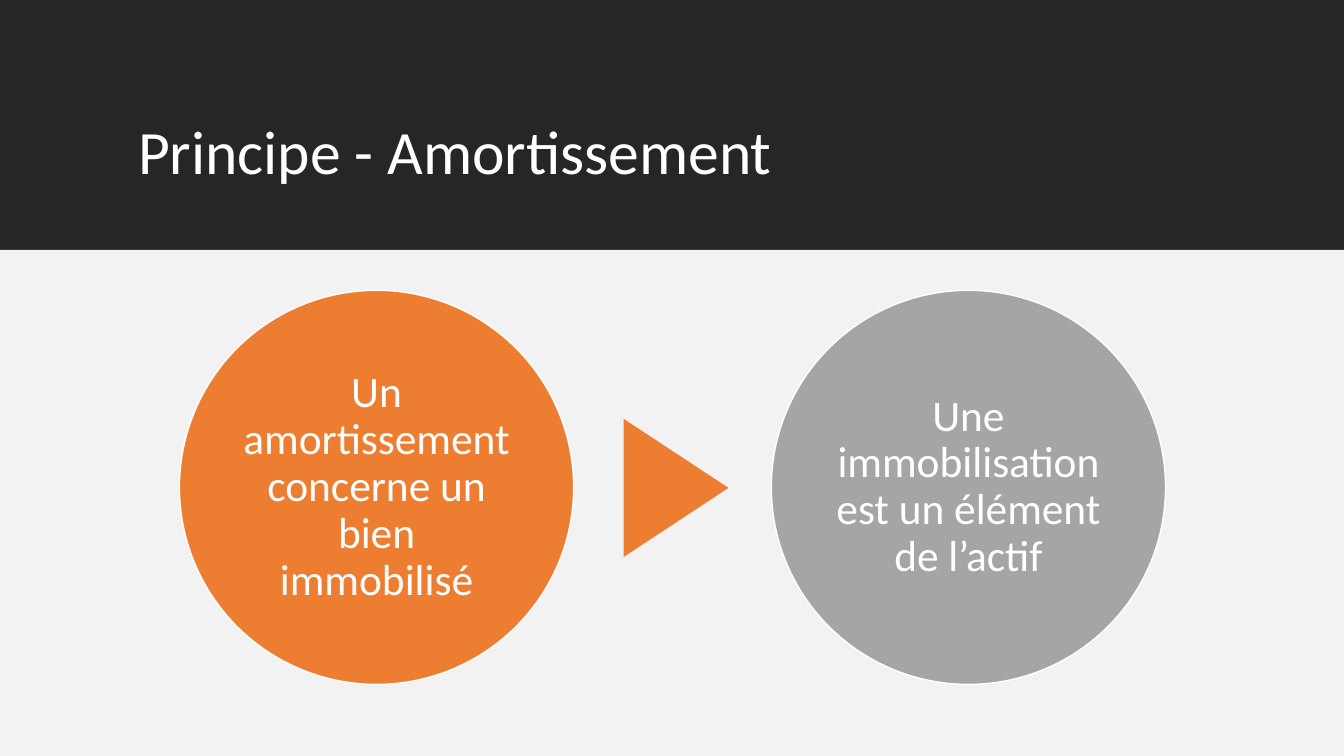
from dataclasses import dataclass

from pptx import Presentation
from pptx.dml.color import RGBColor
from pptx.enum.shapes import MSO_SHAPE as Preset
from pptx.enum.text import MSO_ANCHOR as Anchor, PP_ALIGN as Align
from pptx.shapes.autoshape import Shape
from pptx.slide import Slide
from pptx.util import Inches, Pt

SLIDE_WIDTH = Inches(13.33)
SLIDE_HEIGHT = Inches(7.5)
FONT = "Calibri"
WHITE = RGBColor(0xFF, 0xFF, 0xFF)
CHARCOAL = RGBColor(0x26, 0x26, 0x26)
PALE_GREY = RGBColor(0xF2, 0xF2, 0xF2)
ORANGE = RGBColor(0xED, 0x7D, 0x31)
GREY = RGBColor(0xA5, 0xA5, 0xA5)
HEADER_PERCENT = 33.07


@dataclass(frozen=True)
class Area:
    left: float
    top: float
    width: float
    height: float

    def lengths(self) -> tuple[int, int, int, int]:
        return (
            round(SLIDE_WIDTH * self.left / 100),
            round(SLIDE_HEIGHT * self.top / 100),
            round(SLIDE_WIDTH * self.width / 100),
            round(SLIDE_HEIGHT * self.height / 100),
        )


@dataclass(frozen=True)
class Block:
    preset: Preset
    area: Area
    color: RGBColor
    rotation: int = 0


@dataclass(frozen=True)
class Step:
    left: float
    color: RGBColor
    text: str


BLOCKS = [
    Block(Preset.RECTANGLE, Area(0, 0, 100, HEADER_PERCENT), CHARCOAL),
    Block(Preset.RECTANGLE, Area(0, HEADER_PERCENT, 100, 100 - HEADER_PERCENT), PALE_GREY),
    Block(Preset.ISOSCELES_TRIANGLE, Area(45.16, 57.6, 10.28, 13.87), ORANGE, 90),
]
STEPS = [
    Step(13.35, ORANGE, "Un amortissement concerne un bien immobilisé"),
    Step(57.39, GREY, "Une immobilisation est un élément de l’actif"),
]


def write_text(shape: Shape, text: str, size: int, alignment: Align) -> None:
    frame = shape.text_frame
    frame.word_wrap = True
    frame.vertical_anchor = Anchor.MIDDLE
    frame.text = text
    paragraph = frame.paragraphs[0]
    paragraph.alignment = alignment
    paragraph.line_spacing = 0.9
    font = paragraph.runs[0].font
    font.name = FONT
    font.size = Pt(size)
    font.color.rgb = WHITE


def draw_block(slide: Slide, block: Block) -> Shape:
    shape = slide.shapes.add_shape(block.preset, *block.area.lengths())
    shape.shadow.inherit = False
    shape.fill.solid()
    shape.fill.fore_color.rgb = block.color
    shape.line.fill.background()
    shape.rotation = block.rotation
    return shape


def draw_step(slide: Slide, step: Step) -> None:
    circle = draw_block(slide, Block(Preset.OVAL, Area(step.left, 38.4, 29.33, 52.13), step.color))
    circle.line.color.rgb = WHITE
    circle.line.width = Pt(1)
    frame = circle.text_frame
    frame.margin_left = frame.margin_right = Inches(0.04)
    frame.margin_top = frame.margin_bottom = Inches(0.04)
    write_text(circle, step.text, 31, Align.CENTER)


def main() -> None:
    presentation = Presentation()
    presentation.slide_width = SLIDE_WIDTH
    presentation.slide_height = SLIDE_HEIGHT
    slide = presentation.slides.add_slide(presentation.slide_layouts[6])
    for block in BLOCKS:
        draw_block(slide, block)
    title = slide.shapes.add_textbox(*Area(9.53, 9.33, 81.1, 22.13).lengths())
    write_text(title, "Principe - Amortissement", 44, Align.LEFT)
    for step in STEPS:
        draw_step(slide, step)
    presentation.save("out.pptx")


if __name__ == "__main__":
    main()
